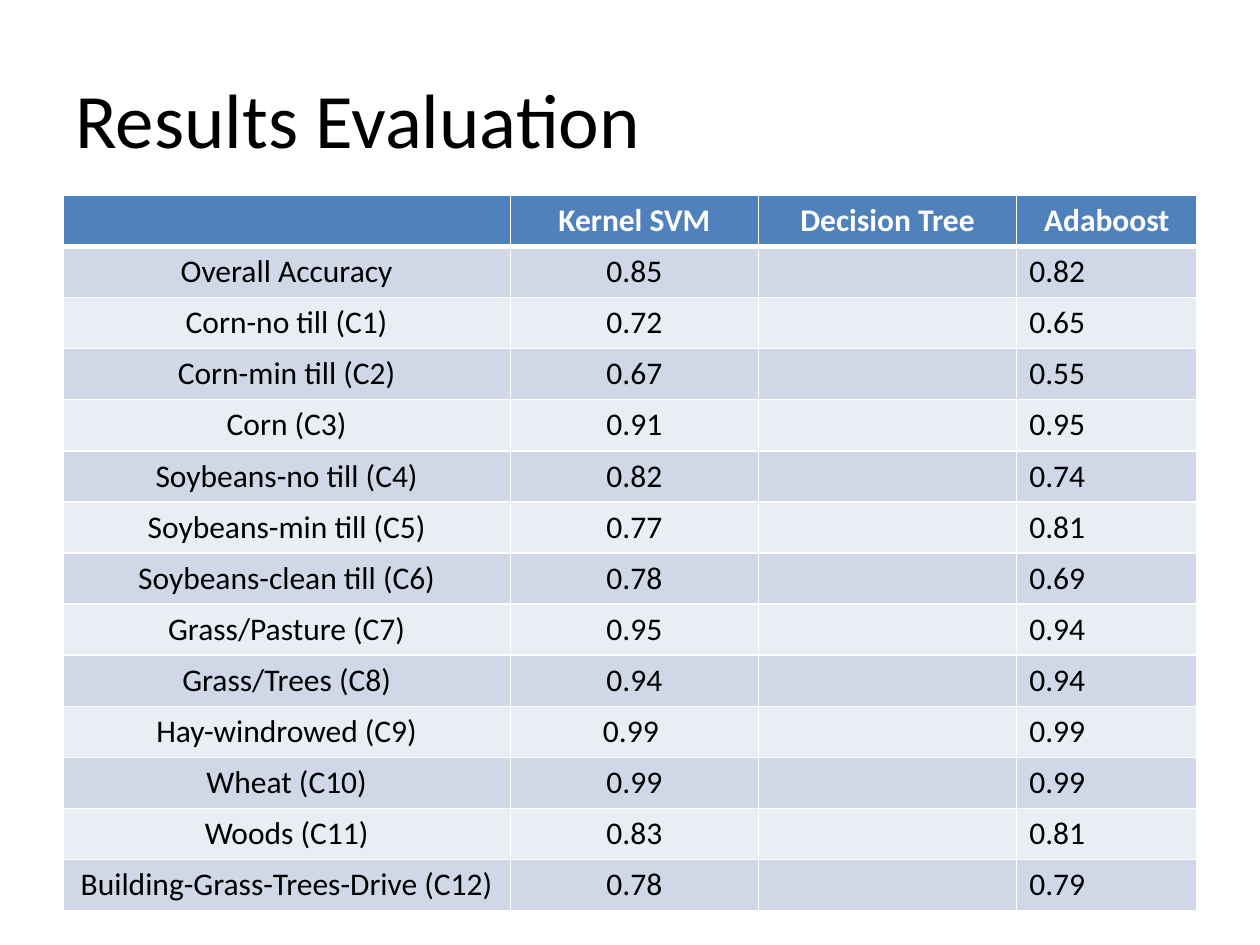
from dataclasses import dataclass

from lxml.etree import SubElement
from pptx import Presentation
from pptx.dml.color import RGBColor as Rgb
from pptx.enum.text import MSO_ANCHOR as Anchor, PP_ALIGN as Align
from pptx.oxml.ns import qn
from pptx.util import Inches, Pt


@dataclass(frozen=True)
class Theme:
    font: str = "Calibri"
    title_size: int = 44
    table_size: int = 18
    ink: str = "000000"
    white: str = "FFFFFF"
    header: str = "4F81BD"
    bands: tuple = ("D0D8E8", "E9EDF4")
    rule: int = 1
    header_rule: int = 3


class SlideBuilder:
    """Places elements by shares of the slide's width and height."""

    def __init__(self, deck, theme):
        self.deck, self.theme = deck, theme
        self.slide = deck.slides.add_slide(deck.slide_layouts[6])

    def box(self, left, top, width, height):
        wide, high = self.deck.slide_width, self.deck.slide_height
        return [int(share * side) for share, side in
                zip((left, top, width, height), (wide, high, wide, high))]

    def set_text(self, paragraph, text, size, color, bold=False, align=Align.LEFT):
        paragraph.text = text
        paragraph.alignment = align
        font = paragraph.font
        font.name, font.size, font.bold = self.theme.font, Pt(size), bold
        font.color.rgb = Rgb.from_string(color)

    def title(self, text, *shares):
        frame = self.slide.shapes.add_textbox(*self.box(*shares)).text_frame
        frame.word_wrap = True
        frame.vertical_anchor = Anchor.MIDDLE
        self.set_text(frame.paragraphs[0], text, self.theme.title_size, self.theme.ink)

    def borders(self, cell, top, bottom):
        properties = cell._tc.get_or_add_tcPr()
        rule = self.theme.rule
        for side, points in zip("LRTB", (rule, rule, top, bottom)):
            line = SubElement(properties, qn(f"a:ln{side}"), w=str(Pt(points)))
            fill = SubElement(line, qn("a:solidFill"))
            SubElement(fill, qn("a:srgbClr"), val=self.theme.white)

    def table(self, rows, column_widths, aligns, *shares):
        theme = self.theme
        area = self.box(*shares)
        grid = self.slide.shapes.add_table(len(rows), len(column_widths), *area).table
        for column, width in zip(grid.columns, column_widths):
            column.width = Inches(width)
        for r, row in enumerate(rows):
            is_header = r == 0
            grid.rows[r].height = area[3] // len(rows)
            for c, text in enumerate(row):
                cell = grid.cell(r, c)
                self.borders(cell,
                             top=theme.header_rule if r == 1 else theme.rule,
                             bottom=theme.header_rule if is_header else theme.rule)
                cell.fill.solid()
                cell.fill.fore_color.rgb = Rgb.from_string(
                    theme.header if is_header else theme.bands[(r - 1) % 2])
                self.set_text(cell.text_frame.paragraphs[0], text, theme.table_size,
                              theme.white if is_header else theme.ink, is_header,
                              Align.CENTER if is_header else aligns[c])


HEADINGS = ("", "Kernel SVM", "Decision Tree", "Adaboost")

# Class, kernel SVM score, Adaboost score
SCORES = [
    ("Overall Accuracy", "0.85", "0.82"),
    ("Corn-no till (C1)", "0.72", "0.65"),
    ("Corn-min till (C2)", "0.67", "0.55"),
    ("Corn (C3)", "0.91", "0.95"),
    ("Soybeans-no till (C4)", "0.82", "0.74"),
    ("Soybeans-min till (C5)", "0.77", "0.81"),
    ("Soybeans-clean till (C6)", "0.78", "0.69"),
    ("Grass/Pasture (C7)", "0.95", "0.94"),
    ("Grass/Trees (C8)", "0.94", "0.94"),
    ("Hay-windrowed (C9)", "0.99 ", "0.99"),
    ("Wheat (C10)", "0.99", "0.99"),
    ("Woods (C11)", "0.83", "0.81"),
    ("Building-Grass-Trees-Drive (C12)", "0.78", "0.79"),
]


def main():
    deck = Presentation()
    deck.slide_width, deck.slide_height = Inches(10), Inches(7.5)
    results = SlideBuilder(deck, Theme())
    margin, content = 0.05, 0.9

    # Title
    results.title("Results Evaluation", margin, 0.04, content, 0.17)

    # Scores per class; the decision tree column is still empty
    rows = [HEADINGS] + [(name, svm, "", ada) for name, svm, ada in SCORES]
    aligns = (Align.CENTER, Align.CENTER, Align.CENTER, Align.LEFT)
    results.table(rows, (3.55, 1.97, 2.05, 1.43), aligns,
                  margin, 1.55 / 7.5, content, 5.68 / 7.5)

    deck.save("out.pptx")


if __name__ == "__main__":
    main()
